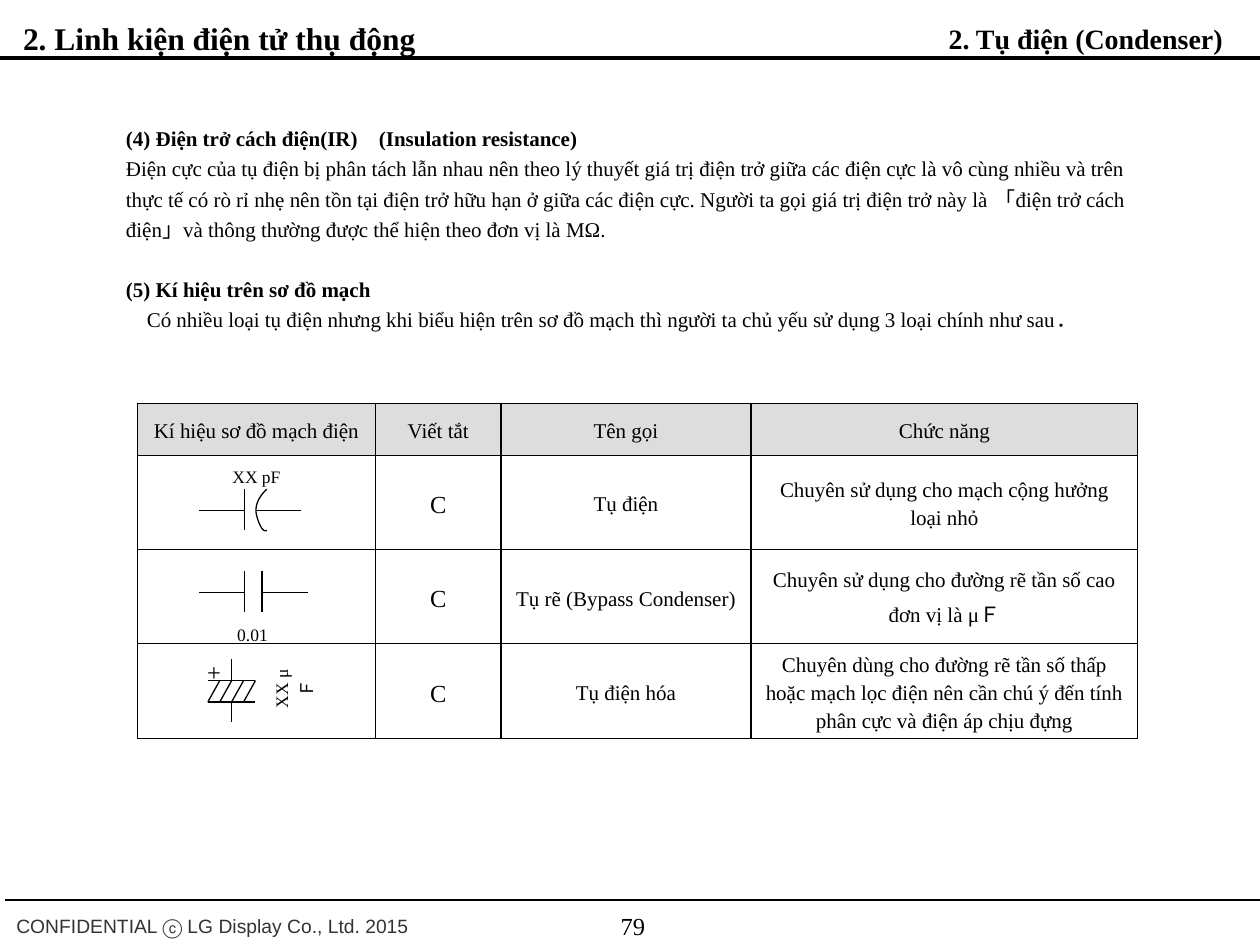
from dataclasses import dataclass

from lxml import etree
from pptx import Presentation
from pptx import util as u
from pptx.dml import color
from pptx.enum import shapes, text
from pptx.oxml import ns

HUES = {"ink": "000000", "head": "DDDDDD", "foot": "333333"}
SERIF = "Times New Roman"
LEFT, MID, RIGHT = text.PP_ALIGN.LEFT, text.PP_ALIGN.CENTER, text.PP_ALIGN.RIGHT


@dataclass
class Label:
    words: str
    box: tuple
    size: float
    align: int = LEFT
    bold: bool = False
    wrap: bool = False
    turn: int = 0
    space: float = 1.2
    hue: str = "ink"
    font: str = SERIF


@dataclass
class Line:
    x1: float
    y1: float
    x2: float
    y2: float
    width: float = 0.75


@dataclass
class Para:
    words: str
    bold: bool = False
    before: float = 0
    indent: float = 0
    tab: float = 0


def rgb(hue: str) -> color.RGBColor:
    return color.RGBColor.from_string(HUES[hue])


def style(para, size: float, align=LEFT, bold=False, space=1.2, hue="ink", font=SERIF) -> None:
    para.alignment = align
    para.line_spacing = space
    for run in para.runs:
        face = run.font
        face.name, face.size, face.bold = font, u.Pt(size), bold
        face.color.rgb = rgb(hue)


def place(shape, box: tuple) -> None:
    shape.left, shape.top, shape.width, shape.height = map(u.Cm, box)


def write(shape, label: Label) -> None:
    place(shape, label.box)
    shape.rotation = label.turn
    frame = shape.text_frame
    frame.text = label.words
    frame.word_wrap = label.wrap
    frame.auto_size = text.MSO_AUTO_SIZE.NONE
    frame.vertical_anchor = text.MSO_ANCHOR.TOP
    style(frame.paragraphs[0], label.size, label.align, label.bold,
          label.space, label.hue, label.font)


def add_label(slide, label: Label) -> None:
    write(slide.shapes.add_textbox(0, 0, 0, 0), label)


def add_line(tree, line: Line) -> None:
    ends = map(u.Cm, (line.x1, line.y1, line.x2, line.y2))
    wire = tree.add_connector(shapes.MSO_CONNECTOR.STRAIGHT, *ends)
    wire.line.color.rgb = rgb("ink")
    wire.line.width = u.Pt(line.width)
    etree.SubElement(wire._element.spPr, ns.qn("a:effectLst"))


def add_curve(tree, start: tuple, bends: list, steps: int = 12) -> None:
    dots = []
    last = start
    for one, two, end in bends:
        for i in range(1, steps + 1):
            t = i / steps
            s = 1 - t
            dots.append(tuple(
                round(1000 * (s**3 * a + 3 * s * s * t * b + 3 * s * t * t * c + t**3 * d))
                for a, b, c, d in zip(last, one, two, end)))
        last = end
    pen = tree.build_freeform(*(round(1000 * v) for v in start), scale=u.Cm(1) / 1000)
    pen.add_line_segments(dots, close=False)
    arc = pen.convert_to_shape()
    arc.shadow.inherit = False
    arc.fill.background()
    arc.line.color.rgb = rgb("ink")
    arc.line.width = u.Pt(0.75)


def add_body(slide, box: tuple, paras: list) -> None:
    shape = slide.shapes.add_textbox(0, 0, 0, 0)
    place(shape, box)
    frame = shape.text_frame
    frame.word_wrap = True
    for i, item in enumerate(paras):
        para = frame.add_paragraph() if i else frame.paragraphs[0]
        para.text = item.words
        style(para, 12, bold=item.bold)
        if item.before:
            para.space_before = u.Pt(item.before)
        props = para._p.get_or_add_pPr()
        if item.indent:
            props.set("indent", str(u.Cm(item.indent)))
        if item.tab:
            tabs = etree.SubElement(props, ns.qn("a:tabLst"))
            etree.SubElement(tabs, ns.qn("a:tab"), pos=str(u.Cm(item.tab)), algn="l")


def add_border(cell) -> None:
    props = cell._tc.get_or_add_tcPr()
    for side in ("lnL", "lnR", "lnT", "lnB"):
        edge = etree.SubElement(props, ns.qn("a:" + side), w=str(u.Pt(0.75)))
        fill = etree.SubElement(edge, ns.qn("a:solidFill"))
        etree.SubElement(fill, ns.qn("a:srgbClr"), val=HUES["ink"])


def add_grid(slide, spot: tuple, cols: list, rows: list, data: list) -> None:
    box = (*spot, sum(cols), sum(rows))
    grid = slide.shapes.add_table(len(rows), len(cols), *map(u.Cm, box)).table
    grid.first_row = grid.horz_banding = False
    for col, width in zip(grid.columns, cols):
        col.width = u.Cm(width)
    for r, (row, height) in enumerate(zip(grid.rows, rows)):
        row.height = u.Cm(height)
        for c, cell in enumerate(row.cells):
            add_border(cell)
            if r:
                cell.fill.background()
            else:
                cell.fill.solid()
                cell.fill.fore_color.rgb = rgb("head")
            cell.margin_top = cell.margin_bottom = 0
            cell.margin_left = cell.margin_right = u.Cm(0.25 if c == 3 else 0.1)
            cell.vertical_anchor = text.MSO_ANCHOR.MIDDLE
            cell.text = data[r][c]
            style(cell.text_frame.paragraphs[0], 14 if r and c == 1 else 12, MID)


def add_symbol(slide, lines: list):
    tree = slide.shapes.add_group_shape().shapes
    for line in lines:
        add_line(tree, line)
    return tree


def main() -> None:
    deck = Presentation()
    deck.slide_width, deck.slide_height = u.Cm(25.4), u.Cm(19.05)
    slide = deck.slides.add_slide(deck.slide_layouts[5])

    write(slide.shapes.title, Label("2. Linh kiện điện tử thụ động", (0.21, 0.1, 8.5, 1.02), 18, bold=True))
    for line in (Line(0.1, 18.14, 25.4, 18.14), Line(0, 1.17, 25.4, 1.17, 2.25)):
        add_line(slide.shapes, line)

    add_body(slide, (2.29, 2.31, 20.8, 5), [
        Para("(4) Điện trở cách điện(IR)\t(Insulation resistance)", True, tab=5.1),
        Para("Điện cực của tụ điện bị phân tách lẫn nhau nên theo lý thuyết giá trị điện trở giữa các "
             "điện cực là vô cùng nhiều và trên thực tế có rò rỉ nhẹ nên tồn tại điện trở hữu hạn ở "
             "giữa các điện cực. Người ta gọi giá trị điện trở này là 「điện trở cách điện」và thông "
             "thường được thể hiện theo đơn vị là MΩ."),
        Para("(5) Kí hiệu trên sơ đồ mạch", True, before=17),
        Para("Có nhiều loại tụ điện nhưng khi biểu hiện trên sơ đồ mạch thì người ta chủ yếu sử dụng "
             "3 loại chính như sau．", indent=0.42),
    ])

    add_grid(slide, (2.77, 8.13), [4.8, 2.53, 5.04, 7.8], [1.05, 1.9, 1.9, 1.9], [
        ("Kí hiệu sơ đồ mạch điện", "Viết tắt", "Tên gọi", "Chức năng"),
        ("", "C", "Tụ điện", "Chuyên sử dụng cho mạch cộng hưởng loại nhỏ"),
        ("", "C", "Tụ rẽ (Bypass Condenser)", "Chuyên sử dụng cho đường rẽ tần số cao\vđơn vị là μＦ"),
        ("", "C", "Tụ điện hóa", "Chuyên dùng cho đường rẽ tần số thấp hoặc mạch lọc điện nên cần "
         "chú ý đến tính phân cực và điện áp chịu đựng"),
    ])

    tuned = add_symbol(slide, [Line(4.01, 10.29, 4.93, 10.29), Line(4.93, 9.86, 4.93, 10.69),
                               Line(5.16, 10.29, 6.07, 10.29)])
    add_curve(tuned, (5.38, 9.86), [((5.25, 9.98), (5.16, 10.13), (5.16, 10.29)),
                                    ((5.16, 10.41), (5.28, 10.77), (5.38, 10.69))])
    add_symbol(slide, [Line(4.01, 11.94, 4.93, 11.94), Line(5.28, 11.94, 6.2, 11.94)]
               + [Line(x, 11.51, x, 12.34) for x in (4.93, 5.28)])
    left, top, low, step = 4.19, 13.72, 14.15, 0.24
    add_symbol(slide, [Line(left, y, left + 4 * step, y) for y in (top, low)]
               + [Line(left + (i + 1) * step, top, left + i * step, low) for i in range(4)]
               + [Line(4.67, 13.28, 4.67, top), Line(4.67, low, 4.67, 14.55)])

    for label in (
        Label("2. Tụ điện (Condenser)", (18.8, 0.18, 6.1, 0.94), 16, RIGHT, True),
        Label("XX pF", (4.42, 9.19, 1.5, 0.69), 10, MID),
        Label("0.01", (4.52, 12.37, 1.14, 0.69), 10, MID),
        Label("+", (3.91, 13, 0.81, 0.84), 14, MID),
        Label("XX μＦ", (4.84, 13.54, 1.5, 0.69), 10, MID, wrap=True, turn=270),
        Label("CONFIDENTIAL ⓒ LG Display Co., Ltd. 2015", (0.08, 18.21, 8.48, 0.76), 11, hue="foot", font="Arial"),
        Label("79", (9.8, 18.24, 5.92, 0.8), 14, MID, wrap=True, space=1),
    ):
        add_label(slide, label)

    deck.save("out.pptx")


if __name__ == "__main__":
    main()
